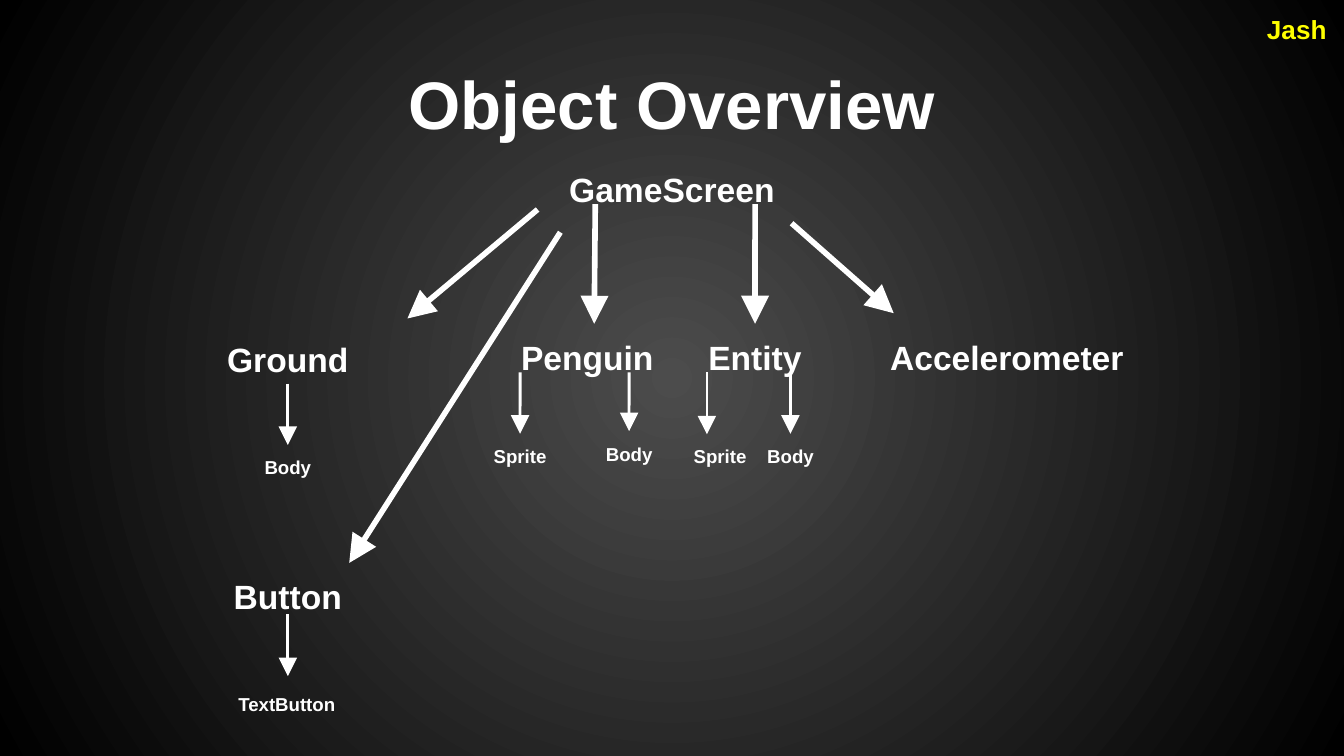
from lxml import etree
from pptx import Presentation
from pptx import util as u
from pptx.dml.color import RGBColor
from pptx.enum import shapes, text
from pptx.oxml.ns import qn

WHITE = RGBColor(0xFF, 0xFF, 0xFF)
YELLOW = RGBColor(0xFF, 0xFF, 0x00)
GREY = RGBColor(0x4C, 0x4C, 0x4C)
BLACK = RGBColor(0x00, 0x00, 0x00)

TOP, BOTTOM = 0, 2
CENTER, LEFT = text.PP_ALIGN.CENTER, text.PP_ALIGN.LEFT


class Diagram:
    font = {"name": "Arial", "bold": True}
    inset = u.Cm(0.25)

    def __init__(self, s):
        self.s = s

    def background(self, inner, outer):
        fill = self.s.background.fill
        fill.gradient()
        for stop, color, pos in zip(fill.gradient_stops, (inner, outer), (0, 1)):
            stop.color.rgb = color
            stop.position = pos
        grad = self.s._element.find(".//" + qn("a:gradFill"))
        grad.remove(grad.find(qn("a:lin")))
        path = etree.SubElement(grad, qn("a:path"), {"path": "circle"})
        etree.SubElement(path, qn("a:fillToRect"), dict.fromkeys("ltrb", "50000"))

    def label(self, words, cx, y, w, h, size, color=WHITE, align=CENTER,
              anchor=text.MSO_ANCHOR.TOP):
        sp = self.s.shapes.add_textbox(u.Cm(cx - w / 2), u.Cm(y), u.Cm(w), u.Cm(h))
        tf = sp.text_frame
        frame = {"word_wrap": True, "vertical_anchor": anchor}
        for side in ("left", "top", "right", "bottom"):
            frame["margin_" + side] = self.inset
        for name, value in frame.items():
            setattr(tf, name, value)
        p = tf.paragraphs[0]
        p.alignment = align
        r = p.add_run()
        r.text = words
        for name, value in {**self.font, "size": u.Pt(size)}.items():
            setattr(r.font, name, value)
        r.font.color.rgb = color
        return sp

    def node(self, words, cx, y, w=4.52):
        return self.label(words, cx, y, w, 1.1, 18)

    def leaf(self, words, cx, y, w=2.03):
        return self.label(words, cx, y, w, 0.66, 10)

    def arrow(self, x1, y1, x2, y2, width=3, begin=None, end=None):
        c = self.s.shapes.add_connector(
            shapes.MSO_CONNECTOR.STRAIGHT, u.Cm(x1), u.Cm(y1), u.Cm(x2), u.Cm(y2))
        if begin is not None:
            c.begin_connect(begin, BOTTOM)
        if end is not None:
            c.end_connect(end, TOP)
        c.line.color.rgb = WHITE
        c.line.width = u.Pt(width)
        etree.SubElement(c.line._get_or_add_ln(), qn("a:tailEnd"),
                         {"type": "triangle", "w": "lg", "len": "lg"})
        etree.SubElement(c._element.spPr, qn("a:effectLst"))

    def drop(self, x, y, begin=None, end=None):
        self.arrow(x, y, x, y + 1.17, 1.5, begin, end)


def main():
    prs = Presentation()
    prs.slide_width, prs.slide_height = u.Cm(25.4), u.Cm(14.29)
    d = Diagram(prs.slides.add_slide(prs.slide_layouts[6]))
    d.background(GREY, BLACK)

    d.label("Object Overview", 12.7, 0.58, 22.86, 2.38, 36,
            anchor=text.MSO_ANCHOR.BOTTOM)
    d.label("Jash", 24.66, 0, 1.93, 0.94, 14, YELLOW, LEFT)

    d.node("GameScreen", 12.7, 2.95)
    ground = d.node("Ground", 5.44, 6.15)
    d.node("Penguin", 11.1, 6.12)
    entity = d.node("Entity", 14.27, 6.12)
    d.node("Accelerometer", 19.03, 6.12, 5.1)
    d.node("Button", 5.44, 10.64)

    ground_body = d.leaf("Body", 5.44, 8.41)
    penguin_sprite = d.leaf("Sprite", 9.83, 8.2)
    penguin_body = d.leaf("Body", 11.89, 8.15)
    d.leaf("Sprite", 13.61, 8.2)
    entity_body = d.leaf("Body", 14.94, 8.2)
    d.leaf("TextButton", 5.42, 12.88, 2.57)

    d.arrow(10.16, 3.96, 7.7, 6.02)
    d.arrow(10.59, 4.39, 6.6, 10.64)
    d.arrow(11.25, 3.86, 11.23, 6.12)
    d.arrow(14.27, 3.86, 14.25, 6.12, end=entity)
    d.arrow(14.96, 4.22, 16.89, 5.92)

    d.drop(5.44, 7.21, ground, ground_body)
    d.drop(5.44, 11.61)
    for x, target in ((9.83, penguin_sprite), (11.89, penguin_body),
                      (13.36, None), (14.94, entity_body)):
        d.drop(x, 7.04, end=target)

    prs.save("out.pptx")


if __name__ == "__main__":
    main()
